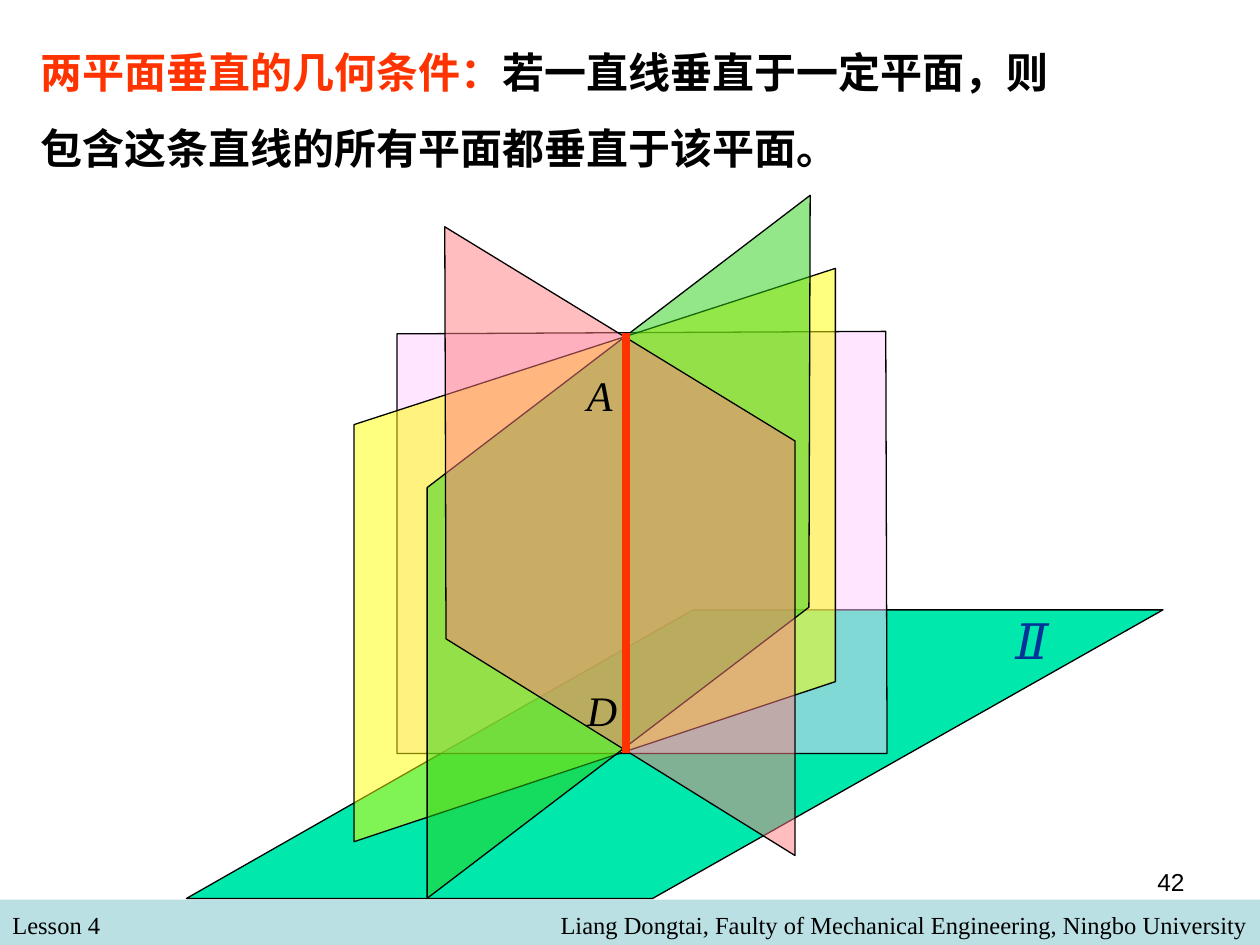
"""Build a slide on the geometric condition for two perpendicular planes."""
from typing import NamedTuple

from lxml import etree
from pptx import Presentation
from pptx.dml.color import RGBColor
from pptx.enum.shapes import MSO_CONNECTOR, MSO_SHAPE
from pptx.enum.text import MSO_ANCHOR, MSO_AUTO_SIZE, PP_ALIGN
from pptx.oxml.ns import qn
from pptx.util import Inches, Pt

LEFT, RIGHT = PP_ALIGN.LEFT, PP_ALIGN.RIGHT
TOP = MSO_ANCHOR.TOP
NO_AUTOFIT = MSO_AUTO_SIZE.NONE
RECTANGLE = MSO_SHAPE.RECTANGLE
STRAIGHT = MSO_CONNECTOR.STRAIGHT

BLACK = RGBColor(0x00, 0x00, 0x00)
RED = RGBColor(0xFF, 0x33, 0x00)
NAVY = RGBColor(0x00, 0x33, 0x99)
FOOTER_BLUE = RGBColor(0xBB, 0xE0, 0xE3)
TEAL = RGBColor(0x00, 0xE8, 0xAB)
PINK = RGBColor(0xFF, 0xCC, 0xFF)
YELLOW = RGBColor(0xFF, 0xFF, 0x00)
GREEN = RGBColor(0x2A, 0xD0, 0x14)
ROSE = RGBColor(0xFF, 0x7C, 0x80)

SERIF, SANS = "Times New Roman", "Arial"


class Plane(NamedTuple):
    corners: list[tuple[float, float]]
    color: RGBColor
    opacity: int = 50


class Label(NamedTuple):
    text: str
    left: float
    top: float
    width: float
    height: float
    size: int = 14
    font: str = SERIF
    color: RGBColor = BLACK
    italic: bool = False
    align: PP_ALIGN = LEFT
    wrap: bool = True


class Segment(NamedTuple):
    x: float
    top: float
    bottom: float
    color: RGBColor
    weight: float


HEADING = [
    ("两平面垂直的几何条件：", RED),
    ("若一直线垂直于一定平面，则包含这条直线的所有平面都垂直于该平面。", BLACK),
]
BASE_PLANE = Plane([(1.48, 7.13), (5.18, 7.13), (9.23, 4.84), (5.5, 4.84)], TEAL, 100)
VERTICAL_PLANES = [
    Plane([(3.15, 2.65), (3.15, 5.98), (7.04, 5.98), (7.03, 2.63)], PINK),
    Plane([(2.81, 3.37), (2.81, 6.68), (6.63, 5.41), (6.63, 2.13)], YELLOW),
    Plane([(3.39, 3.87), (3.39, 7.13), (6.42, 4.82), (6.43, 1.55)], GREEN),
    Plane([(3.53, 1.8), (3.54, 5.07), (6.31, 6.79), (6.31, 3.5)], ROSE),
]
BASE_LABEL = Label("Ⅱ", 7.96, 4.8, 0.46, 0.57, 28, color=NAVY, italic=True, wrap=False)
POINT_LABELS = [
    Label(name, 4.56, top, 0.6, 0.5, 24, italic=True)
    for name, top in (("A", 2.88), ("D", 5.38))
]
FOOTER_LABELS = [
    Label("Lesson 4", 0, 7.17, 4.83, 0.34),
    Label("Liang Dongtai, Faulty of Mechanical Engineering, Ningbo University",
          1.83, 7.17, 8.17, 0.34, align=RIGHT),
    Label("42", 7.17, 6.83, 2.33, 0.52, font=SANS, align=RIGHT),
]
YELLOW_AXIS = Segment(4.98, 2.67, 5.95, BLACK, 0.75)
NORMAL_LINE = Segment(4.97, 2.64, 5.98, RED, 4.5)


def draw_heading(page) -> None:
    title = page.shapes.title
    title.left, title.top = Inches(0.22), Inches(0.12)
    title.width, title.height = Inches(8.34), Inches(1.3)
    frame = title.text_frame
    frame.word_wrap = True
    frame.auto_size = NO_AUTOFIT
    frame.vertical_anchor = TOP
    paragraph = frame.paragraphs[0]
    paragraph.alignment = LEFT
    paragraph.line_spacing = 1.5
    for text, color in HEADING:
        span = paragraph.add_run()
        span.text = text
        span.font.name, span.font.size, span.font.bold = SANS, Pt(24), True
        span.font.color.rgb = color


def draw_footer_band(page) -> None:
    band = page.shapes.add_shape(RECTANGLE, 0, Inches(7.14), Inches(10), Inches(0.36))
    band.shadow.inherit = False
    band.fill.solid()
    band.fill.fore_color.rgb = FOOTER_BLUE
    band.line.fill.background()


def draw_plane(page, plane: Plane) -> None:
    points = [(Inches(x), Inches(y)) for x, y in plane.corners]
    builder = page.shapes.build_freeform(*points[0])
    builder.add_line_segments(points[1:], close=True)
    shape = builder.convert_to_shape()
    shape.shadow.inherit = False
    shape.fill.solid()
    shape.fill.fore_color.rgb = plane.color
    shape.line.color.rgb = BLACK
    shape.line.width = Pt(0.75)
    if plane.opacity < 100:
        color = shape.element.spPr.find(qn("a:solidFill")).find(qn("a:srgbClr"))
        etree.SubElement(color, qn("a:alpha")).set("val", str(plane.opacity * 1000))


def draw_label(page, label: Label) -> None:
    box = page.shapes.add_textbox(Inches(label.left), Inches(label.top),
                                  Inches(label.width), Inches(label.height))
    frame = box.text_frame
    frame.word_wrap = label.wrap
    frame.text = label.text
    paragraph = frame.paragraphs[0]
    paragraph.alignment = label.align
    font = paragraph.runs[0].font
    font.name, font.size, font.italic = label.font, Pt(label.size), label.italic
    font.color.rgb = label.color


def draw_segment(page, segment: Segment) -> None:
    line = page.shapes.add_connector(STRAIGHT, Inches(segment.x), Inches(segment.top),
                                     Inches(segment.x), Inches(segment.bottom))
    line.line.color.rgb = segment.color
    line.line.width = Pt(segment.weight)
    etree.SubElement(line.element.spPr, qn("a:effectLst"))


def main() -> None:
    deck = Presentation()
    deck.slide_width, deck.slide_height = Inches(10), Inches(7.5)
    page = deck.slides.add_slide(deck.slide_layouts[5])
    draw_heading(page)
    draw_footer_band(page)
    for label in FOOTER_LABELS:
        draw_label(page, label)
    draw_plane(page, BASE_PLANE)
    draw_label(page, BASE_LABEL)
    for plane in VERTICAL_PLANES:
        draw_plane(page, plane)
        if plane.color == YELLOW:
            draw_segment(page, YELLOW_AXIS)
    for label in POINT_LABELS:
        draw_label(page, label)
    draw_segment(page, NORMAL_LINE)
    deck.save("out.pptx")


if __name__ == "__main__":
    main()
